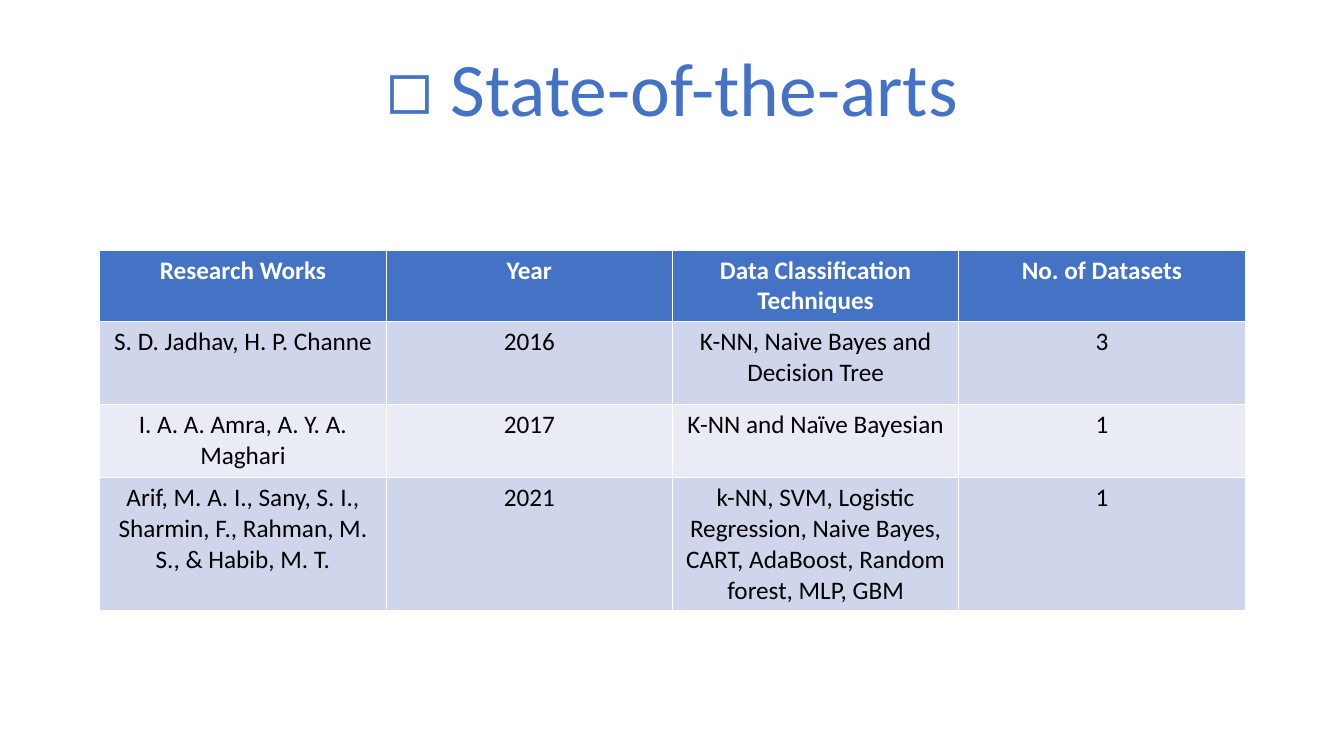
"""Build a slide with a table of earlier research on data classification."""
from pptx import Presentation
from pptx.dml.color import RGBColor
from pptx.enum.text import MSO_ANCHOR, PP_ALIGN
from pptx.util import Inches, Pt

TITLE = "◻ State-of-the-arts"
HEADER = ("Research Works", "Year", "Data Classification Techniques", "No. of Datasets")
WORKS = [
    ("S. D. Jadhav, H. P. Channe", "2016", "K-NN, Naive Bayes and Decision Tree", "3"),
    ("I. A. A. Amra, A. Y. A. Maghari", "2017", "K-NN and Naïve Bayesian", "1"),
    ("Arif, M. A. I., Sany, S. I., Sharmin, F., Rahman, M. S., & Habib, M. T.", "2021",
     "k-NN, SVM, Logistic Regression, Naive Bayes, CART, AdaBoost, Random forest, MLP, GBM",
     "1"),
]
COLORS = {"accent": "4472C4", "odd": "CFD5EA", "even": "E9EBF5",
          "light": "FFFFFF", "dark": "000000"}
FONT = "Calibri"
COLUMN_WIDTH = 2.84
ROW_HEIGHTS = (0.7, 0.82, 0.73, 1.3)


def color(name):
    return RGBColor.from_string(COLORS[name])


def write(frame, text, size, color_name, bold=False):
    para = frame.paragraphs[0]
    para.alignment = PP_ALIGN.CENTER
    span = para.add_run()
    span.text = text
    span.font.name = FONT
    span.font.size = Pt(size)
    span.font.bold = bold
    span.font.color.rgb = color(color_name)
    return para


def add_title(page):
    title = page.shapes.title
    title.left, title.top = Inches(0.92), Inches(0.18)
    title.width, title.height = Inches(11.5), Inches(1.19)
    title.text_frame.vertical_anchor = MSO_ANCHOR.BOTTOM
    write(title.text_frame, TITLE, 54, "accent").line_spacing = 0.9


def add_works_table(page):
    rows = [HEADER, *WORKS]
    table = page.shapes.add_table(
        len(rows), len(HEADER), Inches(0.99), Inches(2.48),
        Inches(COLUMN_WIDTH * len(HEADER)), Inches(sum(ROW_HEIGHTS))).table
    for column in table.columns:
        column.width = Inches(COLUMN_WIDTH)
    for number, (texts, height) in enumerate(zip(rows, ROW_HEIGHTS)):
        is_header = number == 0
        band = "accent" if is_header else "odd" if number % 2 else "even"
        table.rows[number].height = Inches(height)
        for cell, text in zip(table.rows[number].cells, texts):
            cell.fill.solid()
            cell.fill.fore_color.rgb = color(band)
            write(cell.text_frame, text, 18, "light" if is_header else "dark", is_header)


def main():
    deck = Presentation()
    deck.slide_width, deck.slide_height = Inches(13.33), Inches(7.5)
    page = deck.slides.add_slide(deck.slide_layouts.get_by_name("Title Only"))
    add_title(page)
    add_works_table(page)
    deck.save("out.pptx")


if __name__ == "__main__":
    main()
